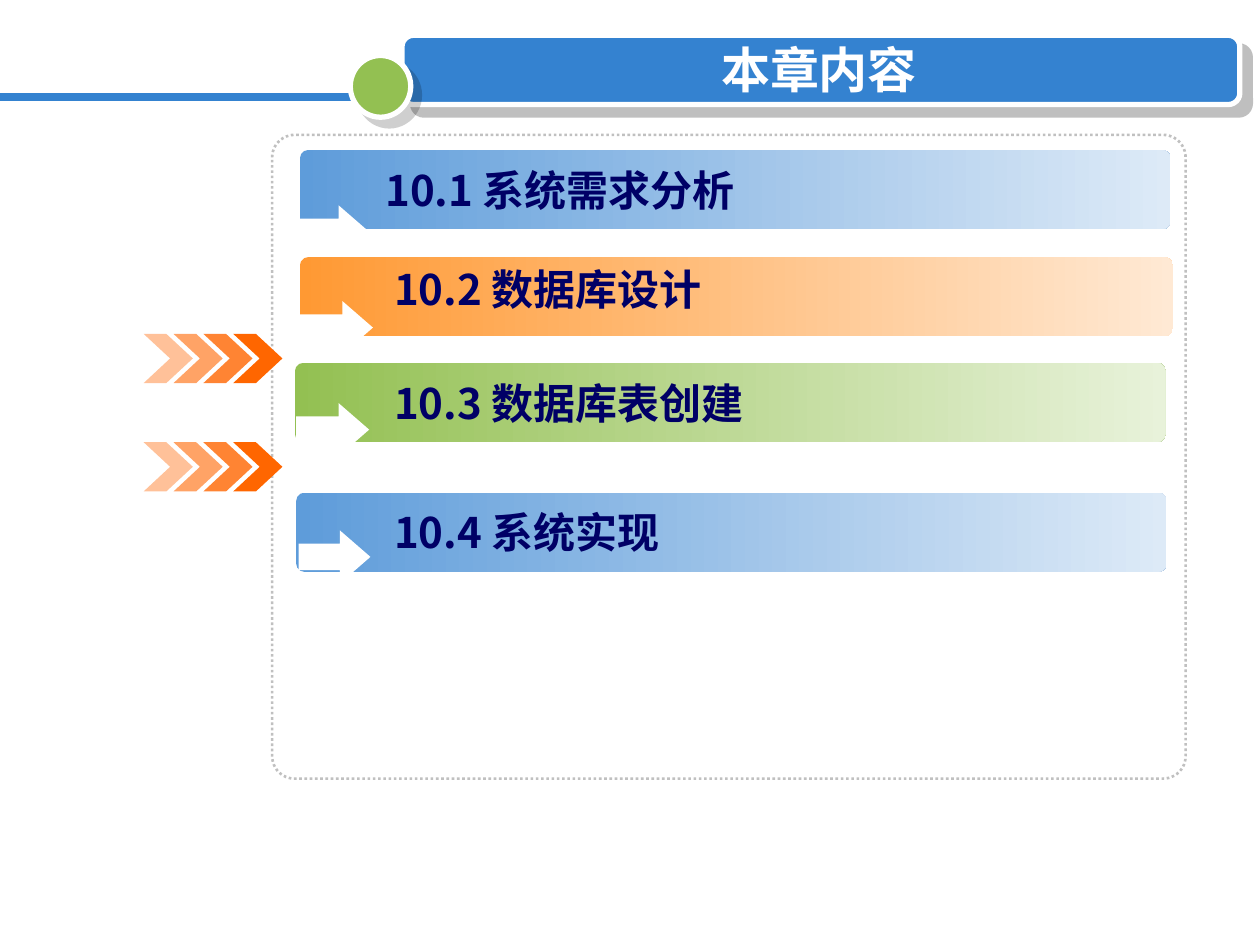
from lxml import etree
from pptx import Presentation
from pptx.dml.color import RGBColor
from pptx.enum.dml import MSO_LINE
from pptx.enum.shapes import MSO_CONNECTOR, MSO_SHAPE
from pptx.enum.text import MSO_ANCHOR, PP_ALIGN
from pptx.oxml.ns import qn
from pptx.util import Inches, Pt

ROUNDED = MSO_SHAPE.ROUNDED_RECTANGLE
ARROW = MSO_SHAPE.RIGHT_ARROW
ELLIPSE = MSO_SHAPE.OVAL
STRAIGHT = MSO_CONNECTOR.STRAIGHT
DOTTED = MSO_LINE.ROUND_DOT
MIDDLE, TOP = MSO_ANCHOR.MIDDLE, MSO_ANCHOR.TOP
CENTER, LEFT = PP_ALIGN.CENTER, PP_ALIGN.LEFT

TITLE = "本章内容"
CJK_FONT = "Noto Sans CJK SC"
BLUE, GREEN, ORANGE = "3482D0", "93C052", "FF6600"
WHITE, NAVY, SILVER = "FFFFFF", "000066", "C0C0C0"
BLUE_FADE = ("5E9CDA", "DDEAF7")
ORANGE_FADE = ("FF9933", "FFE9D4")
GREEN_FADE = (GREEN, "E8F2DA")

SECTIONS = [
    {"text": "10.1 系统需求分析", "fade": BLUE_FADE, "bar": (2.38, 1.19, 6.91),
     "arrow": (2.36, 1.63, 0.57), "label": (2.96, 1.26)},
    {"text": "10.2 数据库设计", "fade": ORANGE_FADE, "bar": (2.38, 2.04, 6.93),
     "arrow": (2.38, 2.39, 0.58), "label": (3.03, 2.04)},
    {"text": "10.3 数据库表创建", "fade": GREEN_FADE, "bar": (2.34, 2.88, 6.91),
     "arrow": (2.35, 3.2, 0.58), "label": (3.03, 2.95)},
    {"text": "10.4 系统实现", "fade": BLUE_FADE, "bar": (2.35, 3.91, 6.91),
     "arrow": (2.37, 4.21, 0.57), "label": (3.03, 3.97)},
]
BAR_HEIGHT, ARROW_HEIGHT = 0.63, 0.42
CHEVRON_TOPS = [2.65, 3.51]
CHEVRON_ALPHAS = [40, 60, 80, 100]
CHEVRON_LEFT, CHEVRON_STEP = 1.14, 0.237
CHEVRON_OUTLINE = [(0, 0), (0.18, 0), (0.39, 0.195), (0.18, 0.39), (0, 0.39), (0.21, 0.195)]


def color(value):
    return RGBColor.from_string(value)


def paint(shape, fill=None, line=None, width=0):
    shape.shadow.inherit = False
    if fill is None:
        shape.fill.background()
    elif isinstance(fill, tuple):
        shape.fill.gradient()
        shape.fill.gradient_angle = 0
        for stop, value, position in zip(shape.fill.gradient_stops, fill, (0, 1)):
            stop.color.rgb = color(value)
            stop.position = position
    else:
        shape.fill.solid()
        shape.fill.fore_color.rgb = color(fill)
    if line:
        shape.line.color.rgb = color(line)
        shape.line.width = Pt(width)
    else:
        shape.line.fill.background()


def add_block(page, kind, place, adjustments=(), **style):
    shape = page.shapes.add_shape(kind, *map(Inches, place))
    for index, value in enumerate(adjustments):
        shape.adjustments[index] = value
    paint(shape, **style)
    return shape


def add_alpha(parent, percent):
    etree.SubElement(parent, qn("a:alpha"), val=str(percent * 1000))


def cast_shadow(shape, value, percent, distance):
    effects = shape._element.spPr.find(qn("a:effectLst"))
    shadow = etree.SubElement(effects, qn("a:outerShdw"), dist=str(Pt(distance)),
                              dir="2700000", algn="ctr", rotWithShape="0")
    add_alpha(etree.SubElement(shadow, qn("a:srgbClr"), val=value), percent)


def add_text(page, text, place, size, font, value, align=LEFT, anchor=TOP):
    box = page.shapes.add_textbox(*map(Inches, place))
    frame = box.text_frame
    frame.word_wrap = True
    frame.vertical_anchor = anchor
    para = frame.paragraphs[0]
    para.alignment = align
    span = para.add_run()
    span.text = text
    span.font.size = Pt(size)
    span.font.bold = True
    span.font.name = font
    span.font.color.rgb = color(value)
    etree.SubElement(span.font._element, qn("a:ea"), typeface=CJK_FONT)


def add_chevron(page, left, top, percent):
    points = [(Inches(left + x), Inches(top + y)) for x, y in CHEVRON_OUTLINE]
    builder = page.shapes.build_freeform(*points[0])
    builder.add_line_segments(points[1:], close=True)
    chevron = builder.convert_to_shape()
    paint(chevron, ORANGE)
    if percent < 100:
        add_alpha(chevron._element.spPr.find(qn("a:solidFill"))[0], percent)


def add_header(page):
    banner = add_block(page, ROUNDED, (3.19, 0.28, 6.65, 0.55), [0.167],
                       fill=BLUE, line=WHITE, width=3)
    cast_shadow(banner, "808080", 50, 8.5)
    rule = page.shapes.add_connector(STRAIGHT, Inches(0), Inches(0.77), Inches(3.27), Inches(0.77))
    rule.line.color.rgb = color(BLUE)
    rule.line.width = Pt(4.5)
    etree.SubElement(rule._element.spPr, qn("a:effectLst"))
    dot = add_block(page, ELLIPSE, (2.78, 0.44, 0.48, 0.49), fill=GREEN, line=WHITE, width=3)
    cast_shadow(dot, "000000", 19, 7.1)
    add_text(page, TITLE, (3.43, 0.28, 6.14, 0.53), 28, "Arial", WHITE, CENTER, MIDDLE)


def add_section(page, section):
    add_block(page, ROUNDED, (*section["bar"], BAR_HEIGHT), [0.109], fill=section["fade"])
    add_block(page, ARROW, (*section["arrow"], ARROW_HEIGHT), [0.5, 0.575], fill=WHITE)
    add_text(page, section["text"], (*section["label"], 5.28, 0.5), 24, CJK_FONT, NAVY)


def main():
    deck = Presentation()
    deck.slide_width, deck.slide_height = Inches(10), Inches(7.5)
    page = deck.slides.add_slide(deck.slide_layouts[6])
    add_header(page)
    frame = add_block(page, ROUNDED, (2.16, 1.07, 7.25, 5.11), [0.035], line=SILVER, width=1.5)
    frame.line.dash_style = DOTTED
    for section in SECTIONS:
        add_section(page, section)
    for top in CHEVRON_TOPS:
        for index, percent in enumerate(CHEVRON_ALPHAS):
            add_chevron(page, CHEVRON_LEFT + index * CHEVRON_STEP, top, percent)
    deck.save("out.pptx")


if __name__ == "__main__":
    main()
